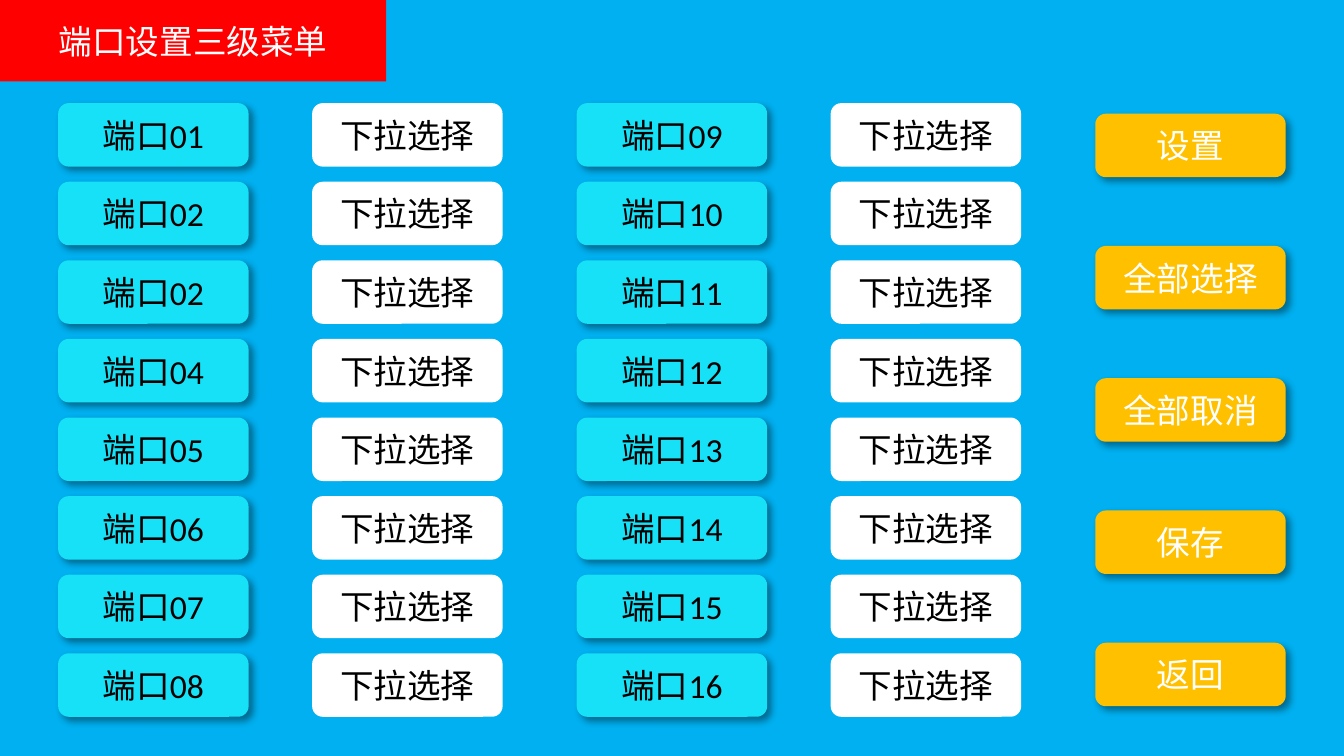
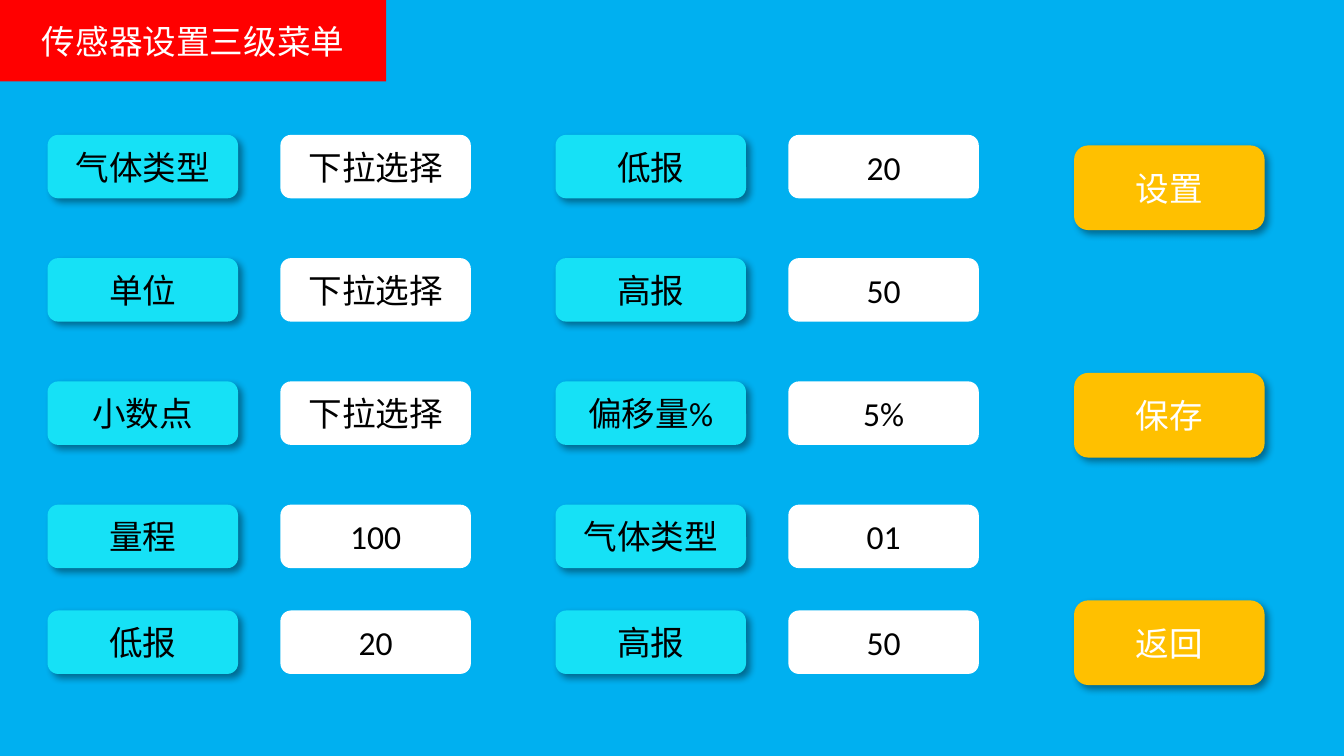
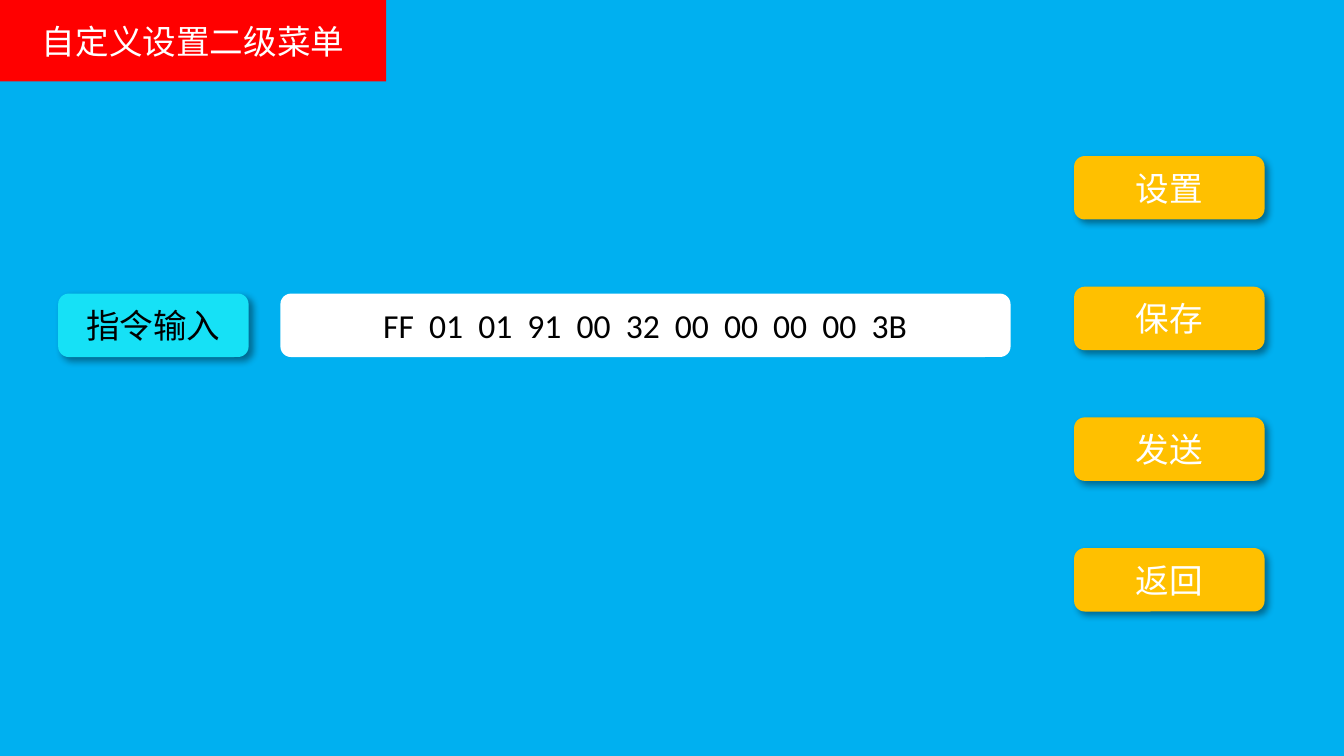
from lxml import etree
from pptx import Presentation
from pptx import util as u
from pptx.dml.color import RGBColor
from pptx.enum import shapes, text
from pptx.oxml import ns

HUES = {
    "sky": "00B0F0",
    "red": "FF0000",
    "gold": "FFC000",
    "cyan": "16E1F6",
    "white": "FFFFFF",
    "black": "000000",
}
FONT, SIZE = "Calibri", 18
WIDE, HIGH = 25.4, 14.29
BOX_W, BOX_H = 3.6, 1.2
PICK = "下拉选择"


class Deck:
    """Holds the style and the current slide; lengths are in centimetres."""

    def __init__(self):
        self.prs = Presentation()
        self.prs.slide_width = u.Cm(WIDE)
        self.prs.slide_height = u.Cm(HIGH)
        self.slide = None

    def page(self, title):
        """Start a slide with its backdrop and title band."""
        self.slide = self.prs.slides.add_slide(self.prs.slide_layouts[6])
        self.box(0, 0, WIDE, HIGH, "sky", kind="RECTANGLE")
        self.box(0, 0, 7.3, 1.54, "red", title, "white", kind="RECTANGLE")

    def box(self, x, y, w, h, fill, words="", ink="black",
            kind="ROUNDED_RECTANGLE"):
        shape = self.slide.shapes.add_shape(
            shapes.MSO_SHAPE[kind], u.Cm(x), u.Cm(y), u.Cm(w), u.Cm(h))
        shape.shadow.inherit = False
        shape.fill.solid()
        shape.fill.fore_color.rgb = RGBColor.from_string(HUES[fill])
        shape.line.fill.background()
        if words:
            self.letter(shape.text_frame, words, ink)
        return shape

    def letter(self, frame, words, ink):
        """Set centred text in the shared font."""
        frame.word_wrap = True
        frame.vertical_anchor = text.MSO_ANCHOR.MIDDLE
        para = frame.paragraphs[0]
        para.alignment = text.PP_ALIGN.CENTER
        run = para.add_run()
        run.text = words
        run.font.name = FONT
        run.font.size = u.Pt(SIZE)
        run.font.color.rgb = RGBColor.from_string(HUES[ink])

    def shade(self, shape):
        """Drop a soft shadow to the lower right."""
        effects = shape._element.spPr.find(ns.qn("a:effectLst"))
        outer = etree.SubElement(
            effects, ns.qn("a:outerShdw"), blurRad=str(u.Pt(4)),
            dist=str(u.Pt(3)), dir="2700000", algn="tl", rotWithShape="0")
        tint = etree.SubElement(outer, ns.qn("a:srgbClr"), val=HUES["black"])
        etree.SubElement(tint, ns.qn("a:alpha"), val="40000")

    def label(self, x, y, words):
        self.shade(self.box(x, y, BOX_W, BOX_H, "cyan", words))

    def field(self, x, y, words, w=BOX_W):
        self.box(x, y, w, BOX_H, "white", words)

    def pairs(self, x, gap, tops, rows):
        """A column of labels, each with its field at a distance of gap."""
        for y, (name, value) in zip(tops, rows):
            self.label(x, y, name)
            self.field(x + gap, y, value)

    def keys(self, x, top, step, names, h=BOX_H):
        """A column of evenly spaced buttons."""
        for i, name in enumerate(names):
            self.shade(self.box(x, top + i * step, BOX_W, h, "gold",
                                name, "white"))


def ports(deck):
    deck.page("端口设置三级菜单")
    tops = [1.95 + i * 10.4 / 7 for i in range(8)]
    left = ["01", "02", "02", "04", "05", "06", "07", "08"]
    right = ["09", "10", "11", "12", "13", "14", "15", "16"]
    for x, codes in ((1.1, left), (10.9, right)):
        deck.pairs(x, 4.8, tops, [("端口" + code, PICK) for code in codes])
    deck.keys(20.7, 2.15, 2.5, ["设置", "全部选择", "全部取消", "保存", "返回"])


def sensor(deck):
    deck.page("传感器设置三级菜单")
    # The last row sits closer than the even step of the first four
    tops = [2.55 + i * 2.33 for i in range(4)] + [11.54]
    deck.pairs(0.9, 4.4, tops, [
        ("气体类型", PICK), ("单位", PICK), ("小数点", PICK),
        ("量程", "100"), ("低报", "20")])
    deck.pairs(10.5, 4.4, tops, [
        ("低报", "20"), ("高报", "50"), ("偏移量%", "5%"),
        ("气体类型", "01"), ("高报", "50")])
    deck.keys(20.3, 2.75, 4.3, ["设置", "保存", "返回"], h=1.6)


def custom(deck):
    deck.page("自定义设置二级菜单")
    deck.label(1.1, 5.55, "指令输入")
    codes = "FF 01 01 91 00 32 00 00 00 00 3B".split()
    deck.field(5.3, 5.55, "  ".join(codes), w=13.8)
    deck.keys(20.3, 2.95, 2.47, ["设置", "保存", "发送", "返回"])


def main():
    deck = Deck()
    for build in (ports, sensor, custom):
        build(deck)
    deck.prs.save("out.pptx")


if __name__ == "__main__":
    main()
